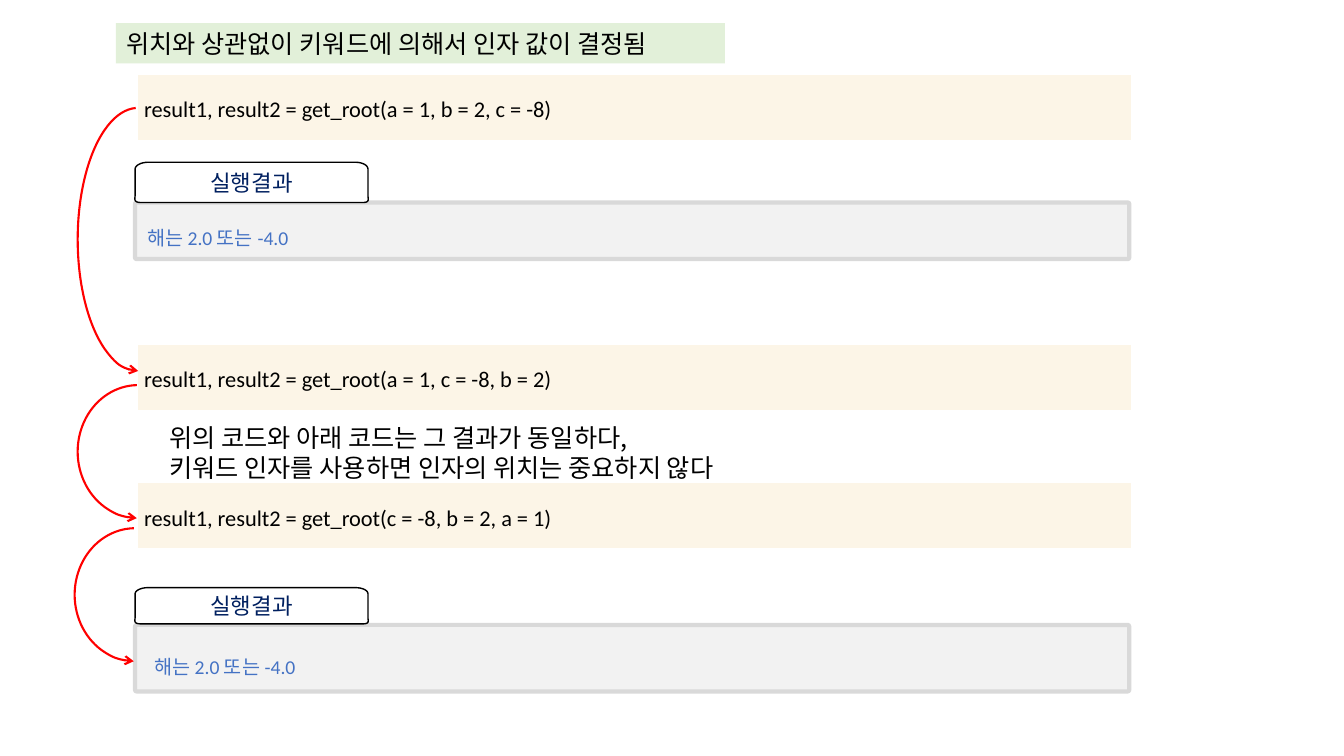
from dataclasses import dataclass

from lxml.etree import SubElement
from pptx import Presentation
from pptx.dml.color import RGBColor
from pptx.enum.shapes import MSO_SHAPE
from pptx.enum.text import MSO_ANCHOR, MSO_AUTO_SIZE, PP_ALIGN
from pptx.oxml.ns import qn
from pptx.util import Inches, Pt


@dataclass(frozen=True)
class Theme:
    latin: str = "Calibri"
    korean: str = "Noto Sans CJK KR"
    heading_size: int = 18
    code_size: int = 16
    result_size: int = 14
    ink: str = "000000"
    heading_fill: str = "E2F0D9"
    code_fill: str = "FCF5E7"
    panel_fill: str = "F2F2F2"
    panel_line: str = "D9D9D9"
    tab_fill: str = "FFFFFF"
    tab_ink: str = "002060"
    result_ink: str = "4472C4"
    arrow: str = "FF0000"


THEME = Theme()
BAR_LEFT, BAR_WIDTH, BAR_HEIGHT = 1.36, 9.86, 0.65
PANEL_LEFT, TAB_RIGHT = 1.34, 3.65


def box(left, top, width, height):
    return [Inches(value) for value in (left, top, width, height)]


def paint(shape, fill=None, line=None, weight=1):
    """Set fill and outline; None means none."""
    shape.shadow.inherit = False
    for part, color in ((shape.fill, fill), (shape.line.fill, line)):
        if color:
            part.solid()
            part.fore_color.rgb = RGBColor.from_string(color)
        else:
            part.background()
    if line:
        shape.line.width = Pt(weight)


def write(frame, lines, size, color, font, align=PP_ALIGN.LEFT, spacing=None, after=0):
    frame.text = "\n".join(lines)
    for paragraph in frame.paragraphs:
        paragraph.alignment = align
        paragraph.line_spacing = spacing
        paragraph.space_after = Pt(after)
        paragraph.font.size = Pt(size)
        paragraph.font.color.rgb = RGBColor.from_string(color)
        paragraph.font.name = font
        defaults = paragraph._p.pPr.find(qn("a:defRPr"))
        SubElement(defaults, qn("a:ea"), typeface=THEME.korean)


def add_heading(slide, text):
    heading = slide.shapes.title
    heading.left, heading.top, heading.width, heading.height = box(1.15, 0.23, 6.04, 0.4)
    heading.fill.solid()
    heading.fill.fore_color.rgb = RGBColor.from_string(THEME.heading_fill)
    heading.text_frame.auto_size = MSO_AUTO_SIZE.NONE
    heading.text_frame.vertical_anchor = MSO_ANCHOR.TOP
    write(heading.text_frame, [text], THEME.heading_size, THEME.ink, THEME.korean)


def add_code_bar(slide, top, code):
    bar = slide.shapes.add_table(1, 1, *box(BAR_LEFT, top, BAR_WIDTH, BAR_HEIGHT)).table
    bar.first_row = bar.horz_banding = False
    cell = bar.cell(0, 0)
    cell.fill.solid()
    cell.fill.fore_color.rgb = RGBColor.from_string(THEME.code_fill)
    cell.vertical_anchor = MSO_ANCHOR.MIDDLE
    cell.margin_left = cell.margin_right = Inches(0.07)
    cell.margin_top = cell.margin_bottom = Inches(0.02)
    write(cell.text_frame, [code], THEME.code_size, THEME.ink, THEME.latin,
          PP_ALIGN.JUSTIFY, 1.2, 4)


def curve(*controls, steps=8):
    """Points along a cubic Bezier curve."""
    points = []
    for step in range(steps + 1):
        t = step / steps
        weights = ((1 - t) ** 3, 3 * t * (1 - t) ** 2, 3 * t * t * (1 - t), t ** 3)
        points.append(tuple(sum(w * p[axis] for w, p in zip(weights, controls))
                            for axis in (0, 1)))
    return points


def add_tab(shapes, top, height, text):
    left, right, bottom = PANEL_LEFT, TAB_RIGHT, top + height
    shoulder, mid_top = top + 0.17 * height, top + 0.08 * height
    hip, mid_bottom = top + 0.83 * height, top + 0.91 * height
    outline = [
        *curve((left, shoulder), (left, mid_top), (1.4, top), (1.47, top)),
        *curve((3.52, top), (3.6, top), (right, mid_top), (right, shoulder)),
        *curve((right, hip), (right, mid_bottom), (3.67, bottom), (3.6, bottom)),
        *curve((1.4, bottom), (1.32, bottom), (left, mid_bottom), (left, hip)),
    ]
    points = [(Inches(x), Inches(y)) for x, y in outline]
    builder = shapes.build_freeform(*points[0])
    builder.add_line_segments(points[1:], close=True)
    tab = builder.convert_to_shape()
    paint(tab, THEME.tab_fill, THEME.ink)
    tab.text_frame.vertical_anchor = MSO_ANCHOR.MIDDLE
    write(tab.text_frame, [text], THEME.code_size, THEME.tab_ink, THEME.korean,
          PP_ALIGN.CENTER)


def add_text(shapes, bounds, lines, *style, wrap=True):
    label = shapes.add_textbox(*box(*bounds))
    label.text_frame.word_wrap = wrap
    write(label.text_frame, lines, *style)


def add_result(slide, tab_top, tab_height, panel_top, panel_height, text_bounds):
    shapes = slide.shapes.add_group_shape().shapes
    panel = shapes.add_shape(MSO_SHAPE.ROUNDED_RECTANGLE,
                             *box(PANEL_LEFT, panel_top, BAR_WIDTH, panel_height))
    panel.adjustments[0] = 0.023
    paint(panel, THEME.panel_fill, THEME.panel_line, 3)
    add_tab(shapes, tab_top, tab_height, "실행결과")
    add_text(shapes, text_bounds, ["해는 2.0 또는 -4.0"], THEME.result_size,
             THEME.result_ink, THEME.latin, PP_ALIGN.JUSTIFY, 1.6, 4)


def add_arc_arrow(slide, left, top, height, start):
    arc = slide.shapes.add_shape(MSO_SHAPE.ARC, *box(left, top, 1.2, height))
    arc.rotation = 180
    arc.adjustments[0], arc.adjustments[1] = start, 53.35
    paint(arc, line=THEME.arrow, weight=1.5)
    SubElement(arc.line._get_or_add_ln(), qn("a:headEnd"), type="arrow")


def main():
    prs = Presentation()
    prs.slide_width, prs.slide_height = Inches(13.33), Inches(7.5)
    slide = prs.slides.add_slide(prs.slide_layouts[5])

    add_heading(slide, "위치와 상관없이 키워드에 의해서 인자 값이 결정됨")

    # Calls with the same keyword arguments in different orders
    for top, arguments in ((0.74, "a = 1, b = 2, c = -8"),
                           (3.42, "a = 1, c = -8, b = 2"),
                           (4.79, "c = -8, b = 2, a = 1")):
        add_code_bar(slide, top, f"result1, result2 = get_root({arguments})")

    # Output panels
    add_result(slide, 1.61, 0.4, 2.01, 0.56, (1.36, 2.05, 8.99, 0.43))
    add_result(slide, 5.83, 0.36, 6.2, 0.66, (1.43, 6.31, 8.99, 0.4))

    # Explanation between the calls
    add_text(slide.shapes, (1.58, 4.14, 6.29, 0.71),
             ["위의 코드와 아래 코드는 그 결과가 동일하다,",
              "키워드 인자를 사용하면 인자의 위치는 중요하지 않다"],
             THEME.heading_size, THEME.ink, THEME.korean, wrap=False)

    # Arrows from each call to the next
    for left, top, height, start in ((0.77, 1.07, 2.61, 162),
                                     (0.77, 3.82, 1.32, 162.7),
                                     (0.74, 5.24, 1.32, 162.7)):
        add_arc_arrow(slide, left, top, height, start)

    prs.save("out.pptx")


if __name__ == "__main__":
    main()
